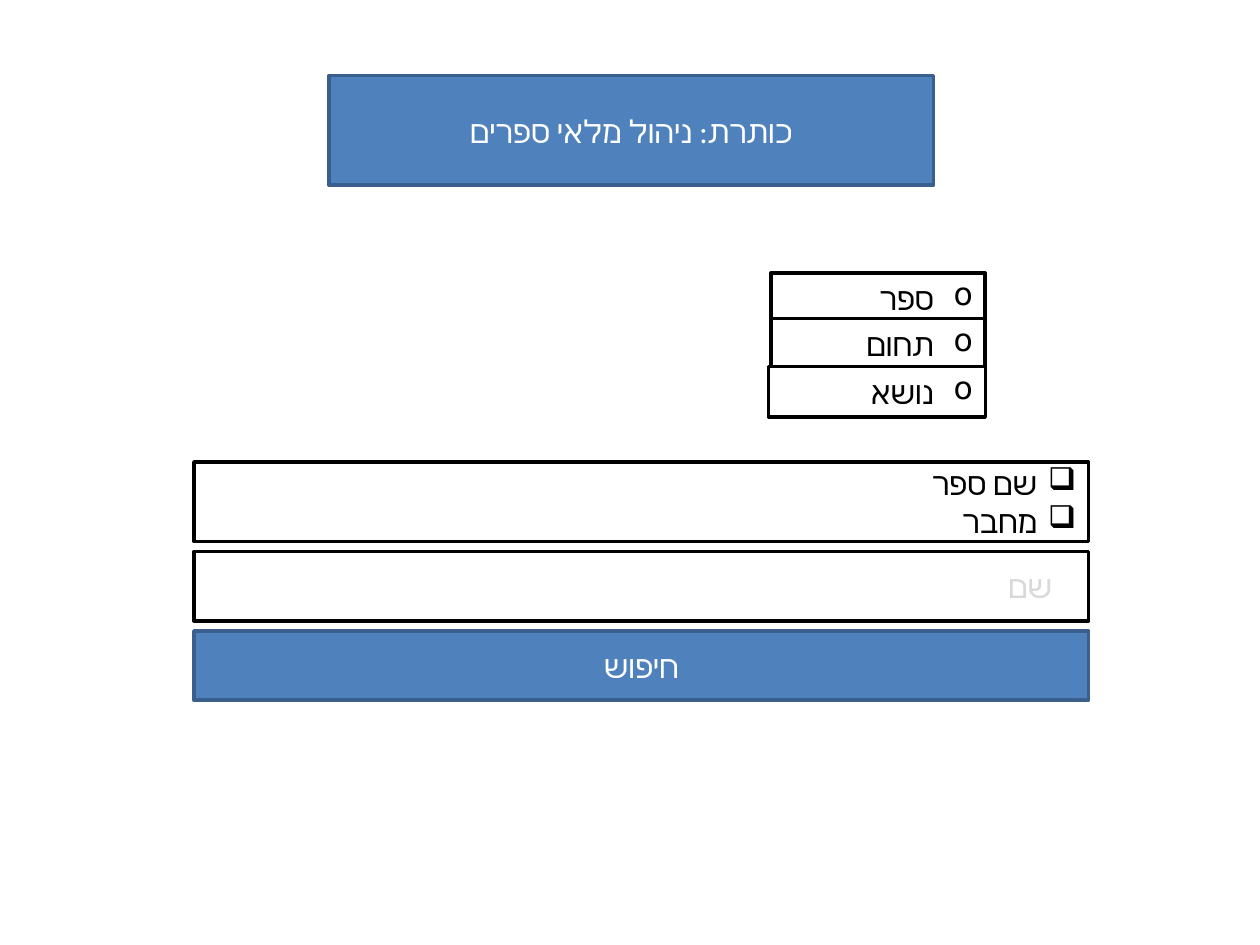
import pptx
import pptx.util
import pptx.dml.color
import pptx.enum.shapes
import pptx.enum.text
import pptx.oxml
import pptx.oxml.ns

COLORS = {"blue": "4F81BD", "border": "3A5F8C", "white": "FFFFFF",
          "black": "000000", "hint": "D9D9D9"}
SLIDE_WIDTH, SLIDE_HEIGHT = 10, 7.5
FONT = "Calibri"
ALIGN = pptx.enum.text.PP_ALIGN


def color(name):
    return pptx.dml.color.RGBColor.from_string(COLORS[name])


def place(shape, box):
    shape.left, shape.top, shape.width, shape.height = map(pptx.util.Inches, box)


def write_paragraph(paragraph, text, text_color, align, bullet, indent):
    paragraph.alignment = align
    properties = paragraph._p.get_or_add_pPr()
    properties.set("rtl", "1")
    properties.set("marL", str(pptx.util.Inches(indent)))
    properties.set("indent", str(-pptx.util.Inches(indent) if bullet else 0))
    if bullet:
        pptx.oxml.ns.qn("a:buChar")
        mark = pptx.oxml.parse_xml(
            '<a:buChar xmlns:a="http://schemas.openxmlformats.org/drawingml/2006/main"/>')
        mark.set("char", bullet)
        properties.append(mark)
    run = paragraph.add_run()
    run.text = text
    run.font.size = pptx.util.Pt(18)
    run.font.name = FONT
    run.font.color.rgb = color(text_color)
    script_font = run._r.get_or_add_rPr().makeelement(
        pptx.oxml.ns.qn("a:cs"), {"typeface": FONT})
    run._r.get_or_add_rPr().append(script_font)


def style_panel(shape, lines, fill, border, text_color, align,
                bullet=None, indent=0):
    shape.fill.solid()
    shape.fill.fore_color.rgb = color(fill)
    shape.line.color.rgb = color(border)
    shape.line.width = pptx.util.Pt(2)
    frame = shape.text_frame
    frame.word_wrap = True
    frame.auto_size = pptx.enum.text.MSO_AUTO_SIZE.NONE
    frame.vertical_anchor = pptx.enum.text.MSO_ANCHOR.MIDDLE
    for index, text in enumerate(lines):
        paragraph = frame.add_paragraph() if index else frame.paragraphs[0]
        write_paragraph(paragraph, text, text_color, align, bullet, indent)


def add_panel(slide, box, lines, **style):
    shape = slide.shapes.add_shape(
        pptx.enum.shapes.MSO_SHAPE.RECTANGLE, *map(pptx.util.Inches, box))
    shape.shadow.inherit = False
    style_panel(shape, lines, **style)


BUTTON = dict(fill="blue", border="border", text_color="white", align=ALIGN.CENTER)
FIELD = dict(fill="white", border="black", text_color="black", align=ALIGN.RIGHT)
HINT = dict(FIELD, text_color="hint", indent=0.19)


def build_header(slide, box):
    title = slide.shapes.title
    place(title, box)
    style_panel(title, ["כותרת: ניהול מלאי ספרים"], **BUTTON)


def build_choices(slide, box):
    left, top, width, height = box
    rows = [("ספר", 0, 0.02), ("תחום", 0.316, 0.02), ("נושא", 0.65, 0)]
    for text, share, inset in rows:
        add_panel(slide, (left + inset, top + share * height, width - inset, 0.4),
                  [text], bullet="o", indent=0.31, **FIELD)


def build_search(slide, box):
    left, top, width, height = box
    gap, row = 0.08, 0.55
    options = height - 2 * (row + gap)
    add_panel(slide, (left, top, width, options), ["שם ספר", "מחבר"],
              bullet="❑", indent=0.31, **FIELD)
    rows = [("שם", HINT), ("חיפוש", BUTTON)]
    for index, (text, style) in enumerate(rows):
        row_top = top + options + gap + index * (row + gap)
        add_panel(slide, (left, row_top, width, row), [text], **style)


def share_box(left, top, width, height):
    return (left * SLIDE_WIDTH, top * SLIDE_HEIGHT,
            width * SLIDE_WIDTH, height * SLIDE_HEIGHT)


def main():
    presentation = pptx.Presentation()
    presentation.slide_width = pptx.util.Inches(SLIDE_WIDTH)
    presentation.slide_height = pptx.util.Inches(SLIDE_HEIGHT)
    slide = presentation.slides.add_slide(presentation.slide_layouts[5])
    build_header(slide, share_box(0.261, 0.08, 0.48, 0.116))
    build_choices(slide, share_box(0.61, 0.289, 0.172, 0.152))
    build_search(slide, share_box(0.154, 0.489, 0.71, 0.252))
    presentation.save("out.pptx")


main()
